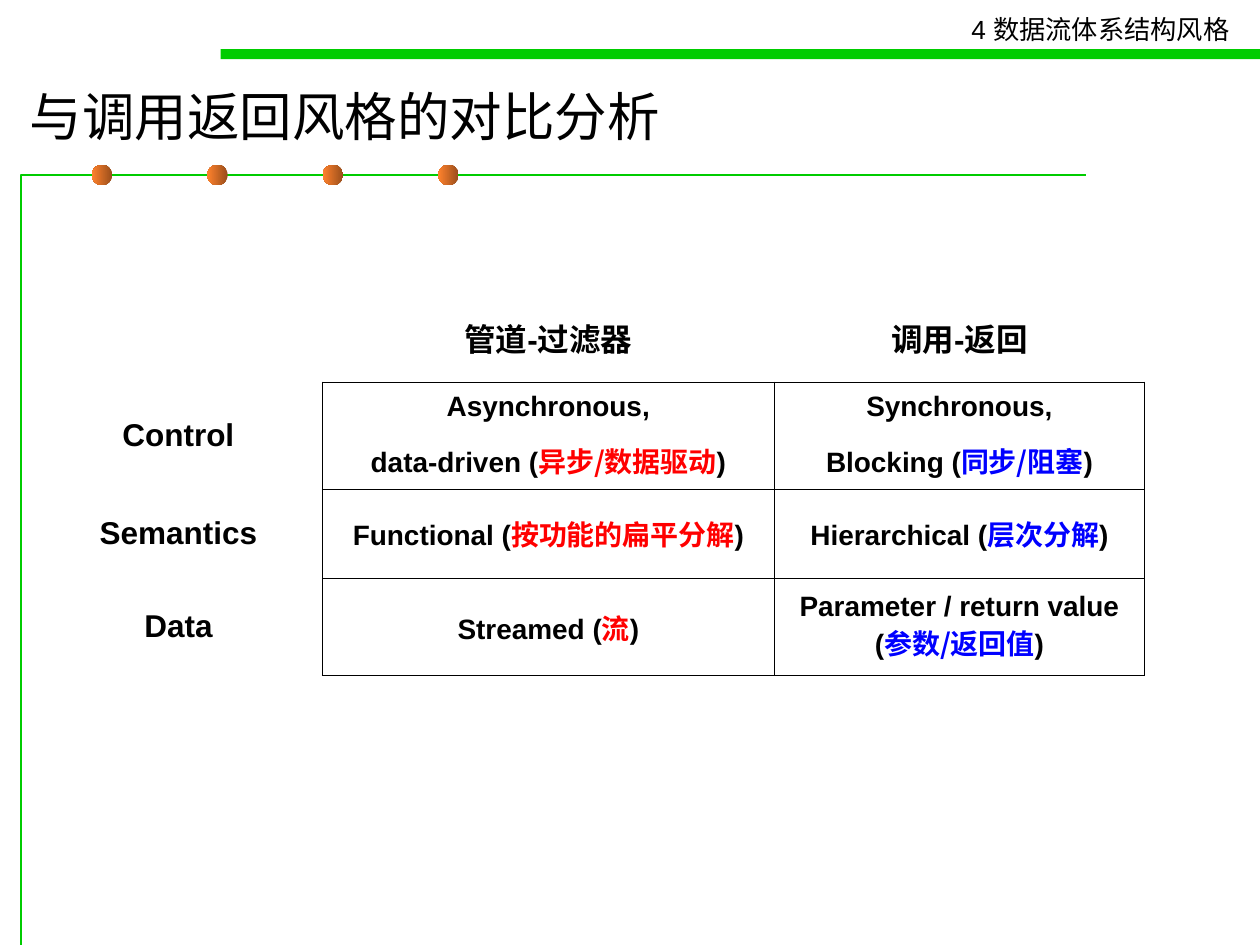
from lxml import etree
from pptx import Presentation
from pptx import util as u
from pptx.dml.color import RGBColor
from pptx.enum import shapes, text
from pptx.oxml.ns import qn

Pt = u.Pt
COLORS = {"green": "00CC00", "dot_dark": "9A4E1B", "dot_light": "FF822D",
          "ink": "000000", "red": "FF0000", "blue": "0000FF"}
LATIN, CJK = "Arial", "Noto Sans CJK SC"
NO_STYLE = "{2D5ABB26-0587-4C30-8999-92F81FD0307C}"
THIN, THICK = 0.45, 1.08

HEADERS = ["管道-过滤器", "调用-返回"]
# Each body cell: paragraphs before the gloss, then the lead-in and gloss.
ROWS = [
    ("Control", (["Asynchronous,"], "data-driven (", "异步/数据驱动"),
     (["Synchronous,"], "Blocking (", "同步/阻塞")),
    ("Semantics", ([], "Functional (", "按功能的扁平分解"),
     ([], "Hierarchical (", "层次分解")),
    ("Data", ([], "Streamed (", "流"),
     ([], "Parameter / return value (", "参数/返回值")),
]


def rgb(name):
    return RGBColor.from_string(COLORS[name])


def write(tf, paragraphs, size=18, bold=False, align=text.PP_ALIGN.LEFT,
          before=0, after=0):
    """Fill tf; a paragraph is a list of (text, colour, font) runs."""
    for i, runs in enumerate(paragraphs):
        p = tf.add_paragraph() if i else tf.paragraphs[0]
        p.alignment = align
        p.space_before = Pt(before if i else 0)
        p.space_after = Pt(after)
        for words, color, font in runs:
            r = p.add_run()
            r.text = words
            r.font.size, r.font.bold, r.font.name = Pt(size), bold, font
            r.font.color.rgb = rgb(color)
            ea = etree.SubElement(r.font._element, qn("a:ea"))
            ea.set("typeface", CJK)


def plain(words):
    return [(words, "ink", LATIN)]


def add_text(s, box, words, wrap=True, anchor=text.MSO_ANCHOR.TOP, **fmt):
    tf = s.shapes.add_textbox(*map(Pt, box)).text_frame
    tf.word_wrap, tf.vertical_anchor = wrap, anchor
    write(tf, [plain(words)], **fmt)


def add_header(s, x, y, w):
    """Chapter name above the thick green bar."""
    add_text(s, (x + w - 172, y + 4.3, 165.6, 25.2), "4 数据流体系结构风格",
             wrap=False, size=15)
    bar = s.shapes.add_shape(shapes.MSO_SHAPE.RECTANGLE,
                             Pt(x), Pt(y + 28), Pt(w), Pt(5.8))
    bar.shadow.inherit = False
    bar.fill.solid()
    bar.fill.fore_color.rgb = rgb("green")
    bar.line.fill.background()


def add_frame(s, x, y, w, h):
    """Thin green corner line with four beads along its top."""
    fb = s.shapes.build_freeform(Pt(x), Pt(y + h))
    fb.add_line_segments([(Pt(x), Pt(y)), (Pt(x + w), Pt(y))], close=False)
    corner = fb.convert_to_shape()
    corner.shadow.inherit = False
    corner.fill.background()
    corner.line.color.rgb = rgb("green")
    corner.line.width = Pt(0.75)

    size, first, step = 11.7, 40.4, 66
    for i in range(4):
        sp = s.shapes.add_shape(
            shapes.MSO_SHAPE.OVAL, Pt(x + first + i * step),
            Pt(y - size / 2), Pt(size), Pt(size))
        sp.shadow.inherit = False
        sp.line.fill.background()
        sp.fill.gradient()
        sp.fill.gradient_angle = 180
        for stop, pos, color in zip(sp.fill.gradient_stops, (0, 1),
                                    ("dot_dark", "dot_light")):
            stop.position = pos
            stop.color.rgb = rgb(color)


def set_borders(cell, widths):
    """widths maps side letters to points; other sides get no line."""
    tcPr = cell._tc.get_or_add_tcPr()
    for side in "LRTB":
        ln = etree.SubElement(tcPr, qn("a:ln" + side))
        if side in widths:
            ln.set("w", str(int(Pt(widths[side]))))
            fill = etree.SubElement(ln, qn("a:solidFill"))
            etree.SubElement(fill, qn("a:srgbClr")).set("val", COLORS["ink"])
        else:
            etree.SubElement(ln, qn("a:noFill"))


def fill_cell(cell, paragraphs, borders, **fmt):
    cell.vertical_anchor = text.MSO_ANCHOR.MIDDLE
    set_borders(cell, borders)
    cell.fill.background()
    write(cell.text_frame, paragraphs, bold=True,
          align=text.PP_ALIGN.CENTER, **fmt)


def add_comparison(s, x, y, col_widths, row_heights):
    table = s.shapes.add_table(
        len(row_heights), len(col_widths), Pt(x), Pt(y),
        Pt(sum(col_widths)), Pt(sum(row_heights))).table
    table.first_row = table.horz_banding = False
    table._tbl.tblPr.find(qn("a:tableStyleId")).text = NO_STYLE
    for col, w in zip(table.columns, col_widths):
        col.width = Pt(w)
    for row, h in zip(table.rows, row_heights):
        row.height = Pt(h)

    label = {"size": 18, "after": 3.4}
    fill_cell(table.cell(0, 0), [], {})
    for c, words in enumerate(HEADERS, 1):
        fill_cell(table.cell(0, c), [plain(words)], {"B": THIN}, **label)
    for r, (name, *cells) in enumerate(ROWS, 1):
        fill_cell(table.cell(r, 0), [plain(name)], {"R": THIN}, **label)
        for c, (lines, lead, gloss) in enumerate(cells, 1):
            color = ("red", "blue")[c - 1]
            borders = {"L": THIN, "T": THIN,
                       "R": THICK if c == len(cells) else THIN,
                       "B": THICK if r == len(ROWS) else THIN}
            last = plain(lead) + [(gloss, color, CJK)] + plain(")")
            fill_cell(table.cell(r, c), [plain(t) for t in lines] + [last],
                      borders, size=16, before=7, after=3)


def main():
    prs = Presentation()
    prs.slide_width, prs.slide_height = Pt(720), Pt(540)
    s = prs.slides.add_slide(prs.slide_layouts[6])
    add_frame(s, 12, 100, 608.5, 440)
    add_header(s, 126, 0, 594)
    add_text(s, (10, 40.3, 669, 51), "与调用返回风格的对比分析",
             anchor=text.MSO_ANCHOR.MIDDLE, size=30)
    add_comparison(s, 19.7, 167.9, (164.5, 258.3, 211.5),
                   (50.4, 61.2, 50.8, 55.8))
    prs.save("out.pptx")


if __name__ == "__main__":
    main()
